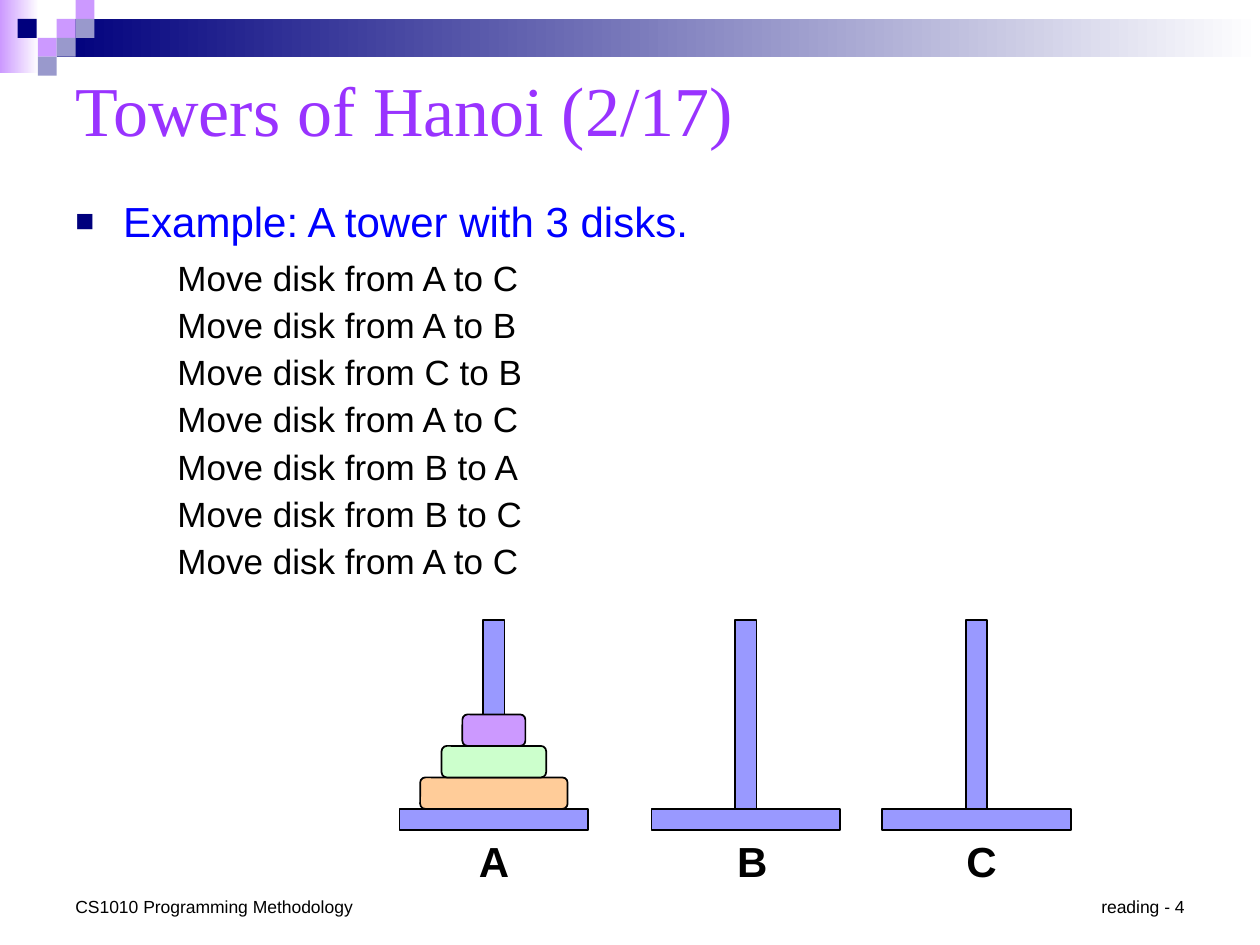
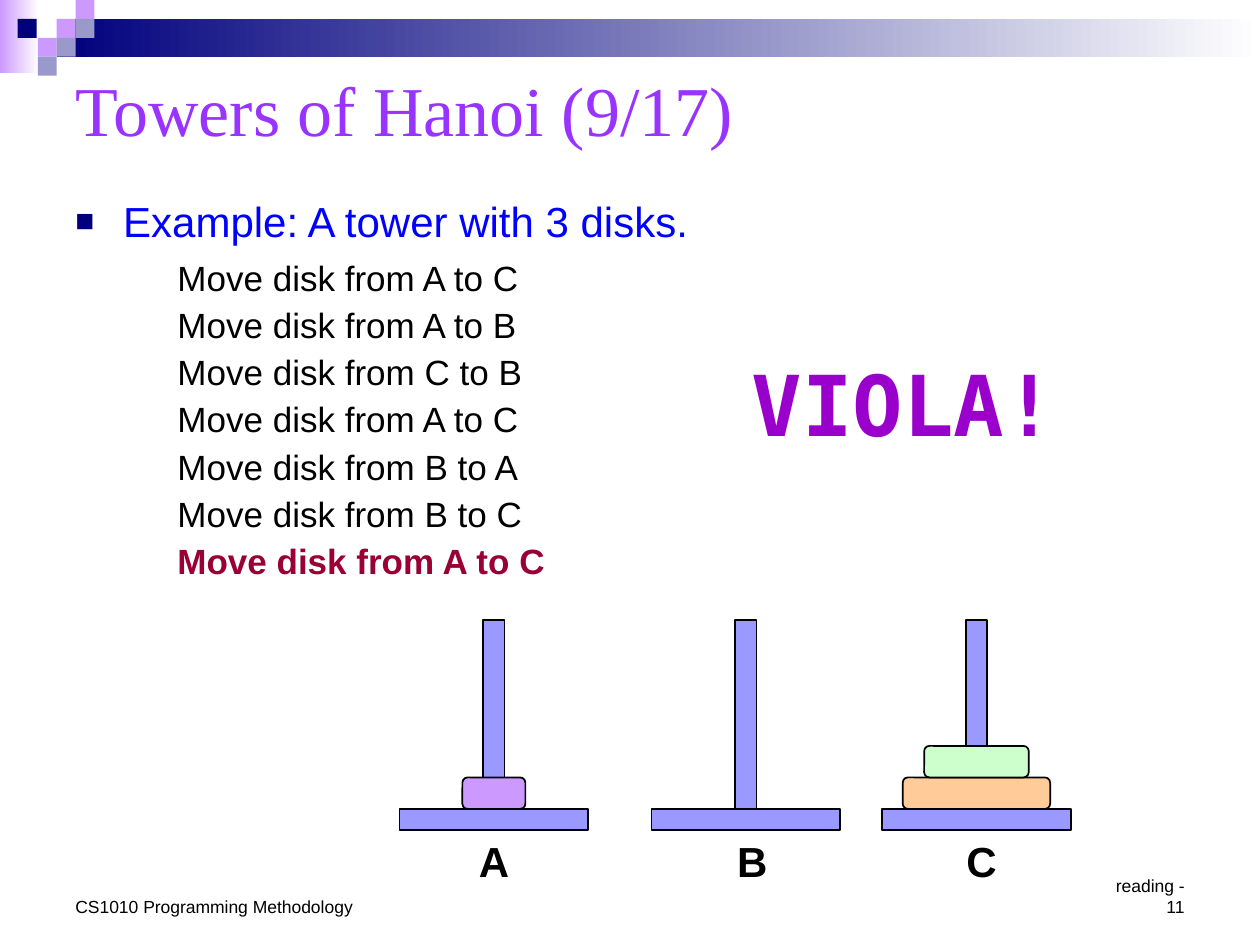
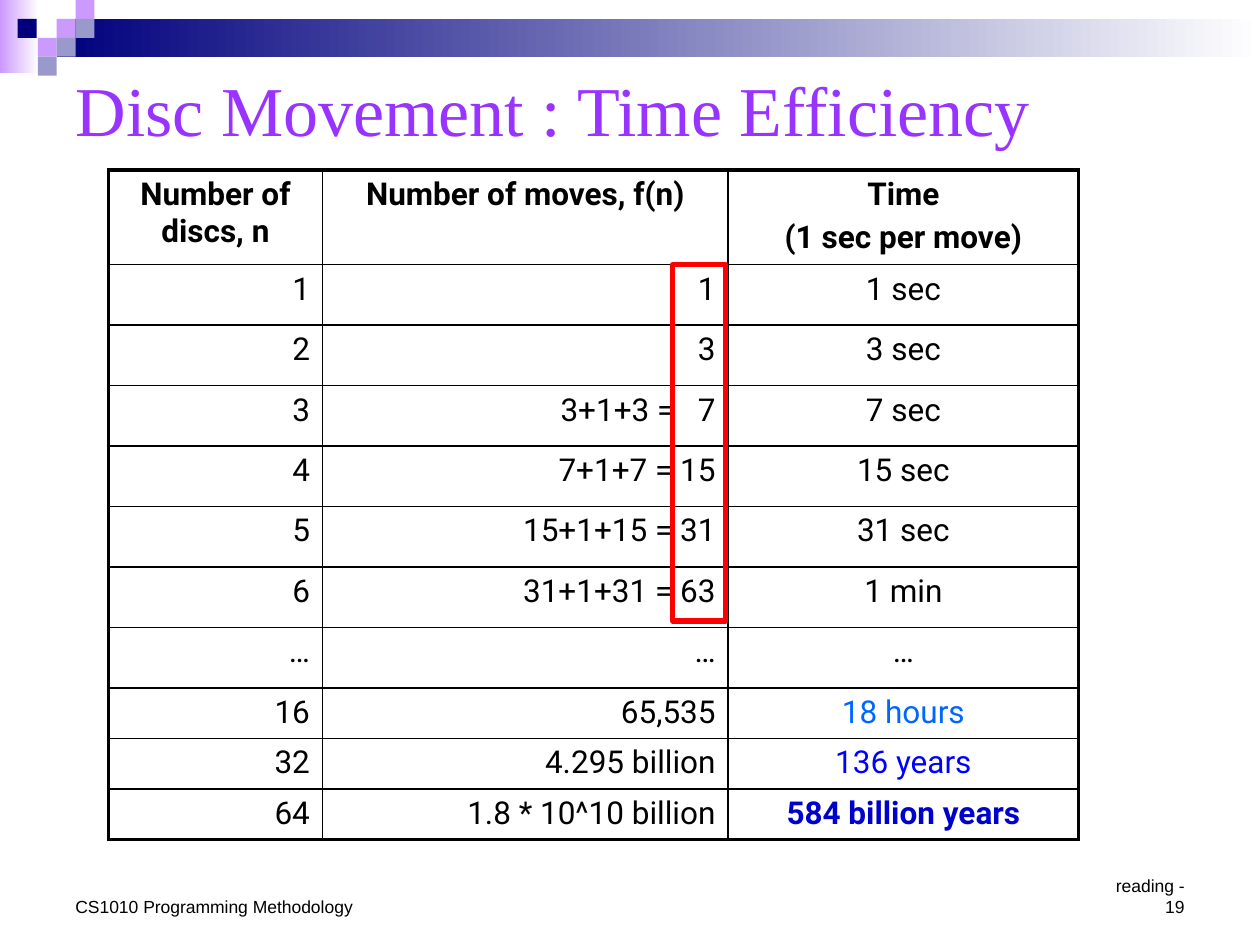
from dataclasses import dataclass
from typing import Any

from lxml.etree import SubElement
from pptx import Presentation
from pptx.dml.color import RGBColor
from pptx.enum.shapes import MSO_SHAPE as Preset
from pptx.enum.text import MSO_ANCHOR as Anchor, PP_ALIGN as Align
from pptx.oxml.ns import qn
from pptx.util import Inches, Pt

BLACK = RGBColor(0x00, 0x00, 0x00)
WHITE = RGBColor(0xFF, 0xFF, 0xFF)
NAVY = RGBColor(0x00, 0x00, 0x7D)
LILAC = RGBColor(0xCC, 0x99, 0xFF)
GREY_BLUE = RGBColor(0x99, 0x99, 0xCC)
TITLE_PURPLE = RGBColor(0x99, 0x33, 0xFF)
BLUE = RGBColor(0x00, 0x00, 0xFF)
SKY_BLUE = RGBColor(0x00, 0x66, 0xFF)
DEEP_BLUE = RGBColor(0x00, 0x00, 0xCC)
PEG_BLUE = RGBColor(0x99, 0x99, 0xFF)
PEACH = RGBColor(0xFF, 0xCC, 0x99)
MINT = RGBColor(0xCC, 0xFF, 0xCC)
MAROON = RGBColor(0x99, 0x00, 0x33)
VIOLET = RGBColor(0x99, 0x00, 0xCC)
RED = RGBColor(0xFF, 0x00, 0x00)

BODY_FONT = "Arial"
TITLE_FONT = "Times New Roman"
TABLE_FONT = "Roboto"
SHOUT_FONT = "DejaVu Sans Mono"

BASE_TOP = 6.42
PEG_TOP = 4.92
PEG_THICKNESS = 0.17
BASE_WIDTH = 1.5
DISK_HEIGHT = 0.25
THIN, THICK = 1, 2.25


@dataclass(frozen=True)
class Box:
    left: float
    top: float
    width: float
    height: float

    def lengths(self) -> list[Any]:
        return [Inches(n) for n in (self.left, self.top, self.width, self.height)]


@dataclass(frozen=True)
class Square:
    left: float
    top: float
    color: RGBColor


@dataclass(frozen=True)
class Peg:
    label: str
    centre: float
    label_centre: float


@dataclass(frozen=True)
class Disk:
    width: float
    color: RGBColor


SQUARE_SIDE = 0.15
SQUARES = [
    Square(0.45, 0.15, LILAC),
    Square(0.6, 0, LILAC),
    Square(0.6, 0.15, GREY_BLUE),
    Square(0.3, 0.3, LILAC),
    Square(0.14, 0.15, NAVY),
    Square(0.45, 0.3, GREY_BLUE),
    Square(0.3, 0.45, GREY_BLUE),
]
PEGS = [Peg("A", 3.92, 3.92), Peg("B", 5.92, 5.97), Peg("C", 7.75, 7.79)]
LARGE, MEDIUM, SMALL = Disk(1.17, PEACH), Disk(0.83, MINT), Disk(0.5, LILAC)
MOVES = ["A to C", "A to B", "C to B", "A to C", "B to A", "B to C", "A to C"]

HEADER = ["Number of discs, n", "Number of moves, f(n)", "Time\n(1 sec per move)"]
ROWS = [
    ["1", "1", "1 sec"],
    ["2", "3", "3 sec"],
    ["3", "3+1+3 =   7", "7 sec"],
    ["4", "7+1+7 = 15", "15 sec"],
    ["5", "15+1+15 = 31", "31 sec"],
    ["6", "31+1+31 = 63", "1 min"],
    ["…", "…", "…"],
    ["16", "65,535", "18 hours"],
    ["32", "4.295 billion", "136 years"],
    ["64", "1.8 * 10^10 billion", "584 billion years"],
]
COLUMN_WIDTHS = [1.7, 3.22, 2.78]
ROW_HEIGHTS = [0.75] + [0.48] * 7 + [0.4] * 3
TIME_FORMATS = {
    "18 hours": {"color": SKY_BLUE},
    "136 years": {"color": BLUE},
    "584 billion years": {"color": DEEP_BLUE, "bold": True},
}


def format_paragraph(paragraph: Any, font: dict[str, Any], **layout: Any) -> None:
    for name, value in layout.items():
        setattr(paragraph, name, value)
    values = dict(font)
    color = values.pop("color", BLACK)
    for run in paragraph.runs:
        for name, value in values.items():
            setattr(run.font, name, value)
        run.font.color.rgb = color


def add_text(slide: Any, box: Box, text: str, font: dict[str, Any],
             anchor: Any = Anchor.TOP, **layout: Any) -> Any:
    frame = slide.shapes.add_textbox(*box.lengths()).text_frame
    frame.word_wrap = True
    frame.vertical_anchor = anchor
    frame.text = text
    for paragraph in frame.paragraphs:
        format_paragraph(paragraph, font, **layout)
    return frame


def add_block(slide: Any, box: Box, fill: RGBColor | None = None,
              line: RGBColor | None = None, line_width: float = 1,
              preset: Any = Preset.RECTANGLE) -> Any:
    shape = slide.shapes.add_shape(preset, *box.lengths())
    shape.shadow.inherit = False
    if fill is None:
        shape.fill.background()
    else:
        shape.fill.solid()
        shape.fill.fore_color.rgb = fill
    if line is None:
        shape.line.fill.background()
    else:
        shape.line.color.rgb = line
        shape.line.width = Pt(line_width)
    return shape


def add_fading_band(slide: Any, box: Box, color: RGBColor) -> None:
    fill = add_block(slide, box).fill
    fill.gradient()
    fill.gradient_angle = 0
    for stop, stop_color in zip(fill.gradient_stops, (color, WHITE)):
        stop.color.rgb = stop_color


def add_titled_slide(presentation: Any, title: str, page: int) -> Any:
    slide = presentation.slides.add_slide(presentation.slide_layouts[5])
    add_fading_band(slide, Box(0, 0, 0.31, 0.58), LILAC)
    add_fading_band(slide, Box(0.45, 0.15, 9.55, 0.3), NAVY)
    for square in SQUARES:
        add_block(slide, Box(square.left, square.top, SQUARE_SIDE, SQUARE_SIDE), square.color)

    placeholder = slide.shapes.title
    lengths = Box(0.5, 0.42, 9, 0.88).lengths()
    for name, value in zip(("left", "top", "width", "height"), lengths):
        setattr(placeholder, name, value)
    placeholder.text_frame.text = title
    placeholder.text_frame.vertical_anchor = Anchor.MIDDLE
    format_paragraph(placeholder.text_frame.paragraphs[0],
                     {"name": TITLE_FONT, "size": Pt(40), "color": TITLE_PURPLE},
                     alignment=Align.LEFT)

    footer_font = {"name": BODY_FONT, "size": Pt(10)}
    add_text(slide, Box(0.5, 7.06, 2.42, 0.27), "CS1010 Programming Methodology",
             footer_font, Anchor.BOTTOM)
    add_text(slide, Box(8.63, 7.06, 0.87, 0.27), f"reading - {page}",
             footer_font, Anchor.BOTTOM, alignment=Align.RIGHT)
    return slide


def set_indent(paragraph: Any, left: float, first: float = 0) -> Any:
    properties = paragraph._p.get_or_add_pPr()
    properties.set("marL", str(Inches(left)))
    properties.set("indent", str(Inches(first)))
    return properties


def add_square_bullet(paragraph: Any) -> None:
    properties = set_indent(paragraph, 0.38, -0.38)
    color = SubElement(properties, qn("a:buClr"))
    SubElement(color, qn("a:srgbClr"), val=str(NAVY))
    SubElement(properties, qn("a:buSzPct"), val="75000")
    SubElement(properties, qn("a:buFont"), typeface=BODY_FONT)
    SubElement(properties, qn("a:buChar"), char="■")


def add_moves(slide: Any, highlighted: int | None) -> None:
    frame = add_text(slide, Box(0.5, 1.5, 9, 3.14), "Example: A tower with 3 disks.",
                     {"name": BODY_FONT, "size": Pt(24), "color": BLUE},
                     alignment=Align.JUSTIFY, space_before=Pt(5), space_after=Pt(3))
    add_square_bullet(frame.paragraphs[0])
    for index, move in enumerate(MOVES):
        paragraph = frame.add_paragraph()
        paragraph.text = f"Move disk from {move}"
        font = {"name": BODY_FONT, "size": Pt(20)}
        if index == highlighted:
            font |= {"color": MAROON, "bold": True}
        format_paragraph(paragraph, font, alignment=Align.JUSTIFY,
                         level=1, space_before=Pt(3))
        set_indent(paragraph, 0.81)


def add_towers(slide: Any, stacks: dict[str, list[Disk]]) -> None:
    for peg in PEGS:
        base = Box(peg.centre - BASE_WIDTH / 2, BASE_TOP, BASE_WIDTH, PEG_THICKNESS)
        pole = Box(peg.centre - PEG_THICKNESS / 2, PEG_TOP,
                   PEG_THICKNESS, BASE_TOP - PEG_TOP)
        for box in (base, pole):
            add_block(slide, box, PEG_BLUE, BLACK)
        add_text(slide, Box(peg.label_centre - 0.25, 6.58, 0.5, 0.5), peg.label,
                 {"name": BODY_FONT, "size": Pt(24), "bold": True},
                 alignment=Align.CENTER, space_before=Pt(12))
        for level, disk in enumerate(stacks.get(peg.label, []), start=1):
            box = Box(peg.centre - disk.width / 2, BASE_TOP - level * DISK_HEIGHT,
                      disk.width, DISK_HEIGHT)
            add_block(slide, box, disk.color, BLACK, preset=Preset.ROUNDED_RECTANGLE)


def set_borders(cell: Any, widths: dict[str, float]) -> None:
    properties = cell._tc.get_or_add_tcPr()
    for index, (side, width) in enumerate(widths.items()):
        line = properties.makeelement(qn(f"a:{side}"), {"w": str(Pt(width))})
        fill = SubElement(line, qn("a:solidFill"))
        SubElement(fill, qn("a:srgbClr"), val=str(BLACK))
        properties.insert(index, line)


def add_time_table(slide: Any) -> None:
    box = Box(0.86, 1.35, sum(COLUMN_WIDTHS), sum(ROW_HEIGHTS))
    rows = [HEADER, *ROWS]
    last_row, last_column = len(rows) - 1, len(HEADER) - 1
    table = slide.shapes.add_table(len(rows), len(HEADER), *box.lengths()).table
    table.first_row = table.horz_banding = False
    for column, width in zip(table.columns, COLUMN_WIDTHS):
        column.width = Inches(width)
    for r, (row, height, texts) in enumerate(zip(table.rows, ROW_HEIGHTS, rows)):
        row.height = Inches(height)
        for c, (cell, text) in enumerate(zip(row.cells, texts)):
            cell.text = text
            cell.fill.solid()
            cell.fill.fore_color.rgb = WHITE
            centred = r == 0 or c == last_column
            font = {"name": TABLE_FONT, "size": Pt(18), "bold": r == 0}
            for paragraph in cell.text_frame.paragraphs:
                format_paragraph(paragraph, font | TIME_FORMATS.get(text, {}),
                                 alignment=Align.CENTER if centred else Align.RIGHT,
                                 space_before=Pt(3.6))
            edges = {"lnL": c == 0, "lnR": c == last_column,
                     "lnT": r == 0, "lnB": r == last_row}
            set_borders(cell, {side: THICK if outer else THIN
                               for side, outer in edges.items()})


def main() -> None:
    presentation = Presentation()
    presentation.slide_width = Inches(10)
    presentation.slide_height = Inches(7.5)

    start = add_titled_slide(presentation, "Towers of Hanoi (2/17)", 4)
    add_moves(start, None)
    add_towers(start, {"A": [LARGE, MEDIUM, SMALL]})

    finish = add_titled_slide(presentation, "Towers of Hanoi (9/17)", 11)
    add_moves(finish, len(MOVES) - 1)
    add_towers(finish, {"A": [SMALL], "C": [LARGE, MEDIUM]})
    add_text(finish, Box(5.83, 2.75, 2.68, 0.91), "VIOLA!",
             {"name": SHOUT_FONT, "size": Pt(48), "bold": True, "color": VIOLET},
             alignment=Align.CENTER, space_before=Pt(24))

    efficiency = add_titled_slide(presentation, "Disc Movement : Time Efficiency", 19)
    add_time_table(efficiency)
    add_block(efficiency, Box(5.34, 2.1, 0.42, 2.83), line=RED, line_width=3)

    presentation.save("out.pptx")


if __name__ == "__main__":
    main()
